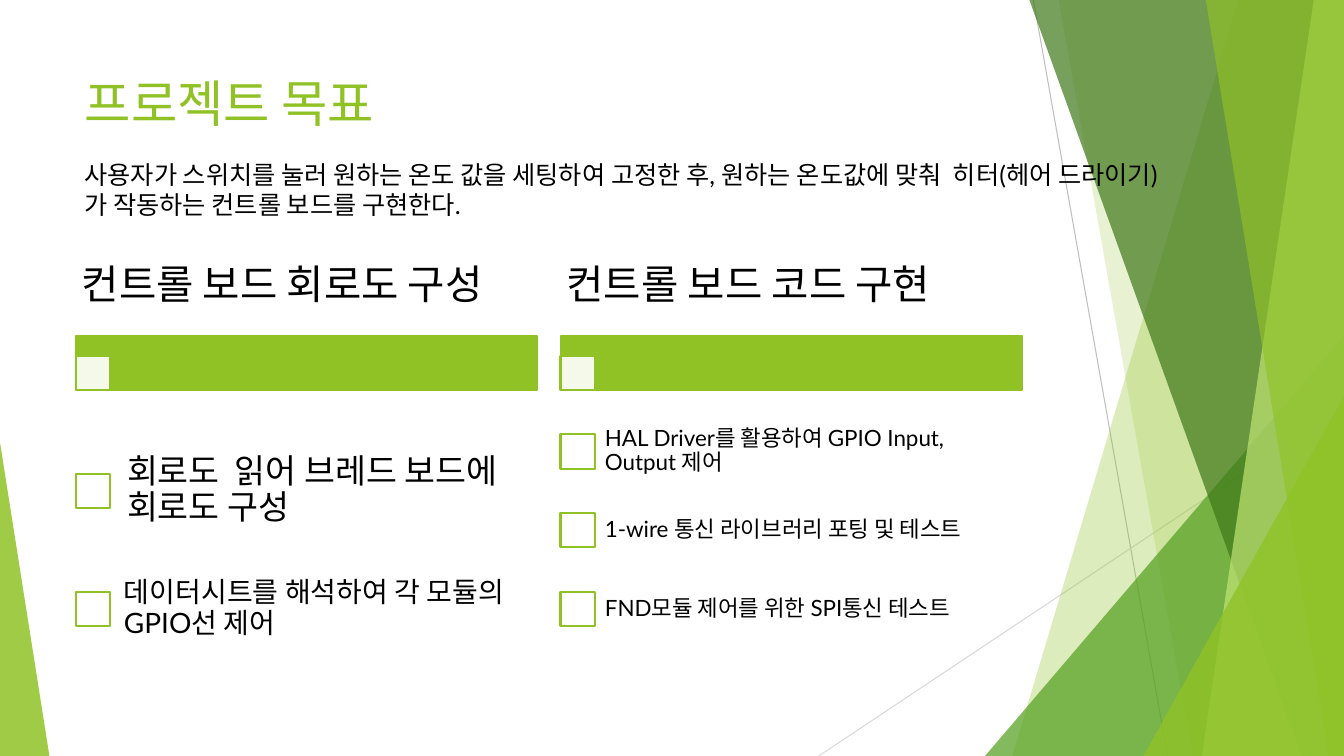
from lxml import etree
from pptx import Presentation
from pptx.dml.color import RGBColor
from pptx.enum.shapes import MSO_CONNECTOR, MSO_SHAPE
from pptx.enum.text import MSO_ANCHOR, MSO_AUTO_SIZE, PP_ALIGN
from pptx.oxml.ns import qn
from pptx.util import Inches, Pt

WIDTH, HEIGHT = 13.33, 7.5
FONT = "Lato"
COLORS = {
    "lime": "90C226", "leaf": "54A021", "forest": "3F7819", "pale": "C0E474",
    "white": "FFFFFF", "black": "000000", "gray": "BFBFBF", "light_gray": "D9D9D9",
}
BOX_SIZE = 0.34
ROW_HEIGHT = 0.78


def color(name):
    return RGBColor.from_string(COLORS[name])


def paint(shape, fill, opacity=100, line=None):
    shape.shadow.inherit = False
    shape.fill.solid()
    shape.fill.fore_color.rgb = color(fill)
    if opacity < 100:
        fill_color = shape.fill._xPr.find(qn("a:solidFill"))[0]
        etree.SubElement(fill_color, qn("a:alpha"), val=str(opacity * 1000))
    if line:
        shape.line.color.rgb = color(line)
        shape.line.width = Pt(1.5)
    else:
        shape.line.fill.background()


def add_preset(slide, kind, left, top, width, height, fill, opacity=100, line=None):
    shape = slide.shapes.add_shape(
        kind, Inches(left), Inches(top), Inches(width), Inches(height))
    paint(shape, fill, opacity, line)
    return shape


def add_triangle(slide, left, top, width, apex, fill, opacity):
    """Right triangle standing on the slide's bottom edge."""
    shape = add_preset(slide, MSO_SHAPE.ISOSCELES_TRIANGLE, left, top, width,
                       HEIGHT - top, fill, opacity)
    shape.adjustments[0] = apex


def add_band(slide, top_x, bottom_x, fill, opacity):
    """Full-height area from a slanted left edge to the slide's right edge."""
    builder = slide.shapes.build_freeform(Inches(top_x), 0)
    corners = [(WIDTH, 0), (WIDTH, HEIGHT), (bottom_x, HEIGHT)]
    builder.add_line_segments([(Inches(x), Inches(y)) for x, y in corners])
    paint(builder.convert_to_shape(), fill, opacity)


def add_thin_line(slide, start, end, line):
    connector = slide.shapes.add_connector(
        MSO_CONNECTOR.STRAIGHT, *[Inches(value) for value in start + end])
    connector.line.color.rgb = color(line)
    connector.line.width = Pt(0.75)
    etree.SubElement(connector._element.spPr, qn("a:effectLst"))


def add_backdrop(slide):
    add_thin_line(slide, (10.25, 0), (11.58, HEIGHT), "gray")
    add_thin_line(slide, (WIDTH, 4.03), (8.12, HEIGHT), "light_gray")
    add_band(slide, 12.28, 10.04, "lime", 30)
    add_band(slide, 10.5, 11.83, "lime", 20)
    add_triangle(slide, 9.77, 3.33, 3.56, 1, "leaf", 72)
    add_band(slide, 10.21, 12.91, "forest", 70)
    add_band(slide, 13.03, 11.92, "pale", 70)
    add_band(slide, 11.96, 13.18, "lime", 65)
    add_triangle(slide, 11.34, 3.93, 1.99, 1, "lime", 80)
    add_triangle(slide, 0, 4.39, 0.49, 0, "lime", 85)


def style_text(text_frame, size, name="black"):
    for paragraph in text_frame.paragraphs:
        paragraph.alignment = PP_ALIGN.LEFT
        for run in paragraph.runs:
            run.font.name = FONT
            run.font.size = Pt(size)
            run.font.color.rgb = color(name)


def add_label(slide, left, top, width, height, text, size, inset_x, inset_y):
    box = slide.shapes.add_textbox(
        Inches(left), Inches(top), Inches(width), Inches(height))
    text_frame = box.text_frame
    text_frame.word_wrap = True
    text_frame.vertical_anchor = MSO_ANCHOR.MIDDLE
    text_frame.margin_left = text_frame.margin_right = Inches(inset_x)
    text_frame.margin_top = text_frame.margin_bottom = Inches(inset_y)
    text_frame.text = text
    text_frame.paragraphs[0].line_spacing = 0.9
    style_text(text_frame, size)


def add_title(slide, left, top, width, height):
    title = slide.shapes.title
    title.left, title.top = Inches(left), Inches(top)
    title.width, title.height = Inches(width), Inches(height)
    text_frame = title.text_frame
    text_frame.text = "프로젝트 목표"
    text_frame.auto_size = MSO_AUTO_SIZE.NONE
    text_frame.vertical_anchor = MSO_ANCHOR.TOP
    style_text(text_frame, 36, "lime")


def add_introduction(slide, left, top, width, height):
    box = slide.shapes.add_textbox(
        Inches(left), Inches(top), Inches(width), Inches(height))
    text_frame = box.text_frame
    text_frame.word_wrap = False
    text_frame.auto_size = MSO_AUTO_SIZE.SHAPE_TO_FIT_TEXT
    text_frame.text = (
        "사용자가 스위치를 눌러 원하는 온도 값을 세팅하여 고정한 후, "
        "원하는 온도값에 맞춰  히터(헤어 드라이기)\n"
        "가 작동하는 컨트롤 보드를 구현한다.")
    style_text(text_frame, 18)


def add_goal_column(slide, left, top, width, heading, items):
    """Heading, bar and checklist; an item is (text, size, inset, rows)."""
    rectangle = MSO_SHAPE.RECTANGLE
    add_preset(slide, rectangle, left, top + 0.97, width, 0.54, "lime", line="lime")
    add_preset(slide, rectangle, left, top + 1.17, BOX_SIZE, BOX_SIZE,
               "white", 90, "lime")
    add_label(slide, left, top, width, 0.97, heading, 29, 0.06, 0.04)
    item_top = top + 1.73
    for text, size, inset, rows in items:
        height = rows * ROW_HEIGHT
        box_top = item_top + (height - BOX_SIZE) / 2
        add_preset(slide, rectangle, left, box_top, BOX_SIZE, BOX_SIZE,
                   "white", line="lime")
        add_label(slide, left + 0.32, item_top, width - 0.32, height,
                  text, size, inset, inset)
        item_top += height


def main():
    presentation = Presentation()
    presentation.slide_width = Inches(WIDTH)
    presentation.slide_height = Inches(HEIGHT)
    slide = presentation.slides.add_slide(presentation.slide_layouts[5])
    add_backdrop(slide)
    add_title(slide, 0.74, 0.67, 9.4, 1.44)
    add_goal_column(slide, 0.75, 2.36, 4.58, "컨트롤 보드 회로도 구성", [
        ("회로도  읽어 브레드 보드에 회로도 구성", 24, 0.19, 2),
        ("데이터시트를 해석하여 각 모듈의 GPIO선 제어", 20, 0.16, 1),
    ])
    add_goal_column(slide, 5.56, 2.36, 4.58, "컨트롤 보드 코드 구현", [
        ("HAL Driver를 활용하여 GPIO Input, Output 제어", 16, 0.12, 1),
        ("1-wire 통신 라이브러리 포팅 및 테스트", 16, 0.12, 1),
        ("FND모듈 제어를 위한 SPI통신 테스트", 16, 0.12, 1),
    ])
    add_introduction(slide, 0.74, 1.53, 12.06, 0.71)
    presentation.save("out.pptx")


if __name__ == "__main__":
    main()
